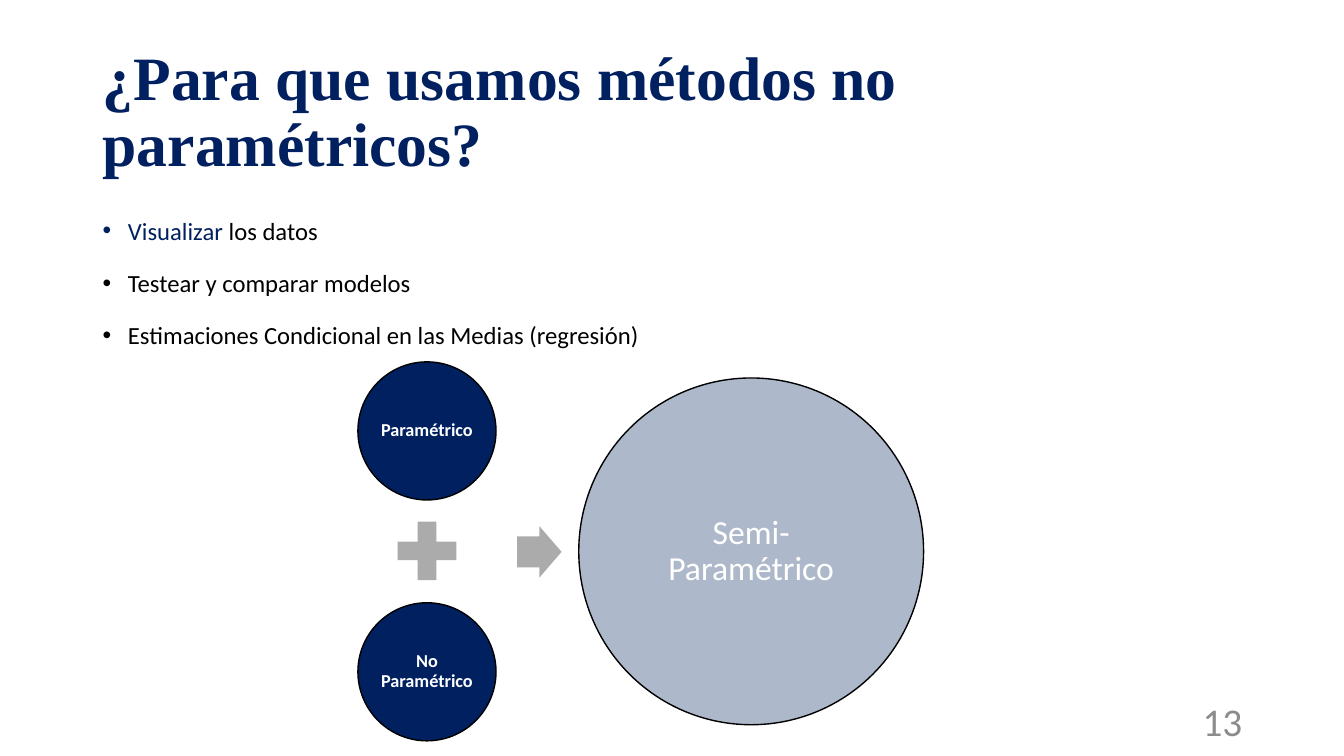
"""Build the slide on the uses of non-parametric methods."""
from lxml import etree
from pptx import Presentation, util as u
from pptx.dml.color import RGBColor
from pptx.enum import shapes, text
from pptx.oxml.ns import qn

NAVY, GREY, BLACK, WHITE = "002060", "ABABAB", "000000", "FFFFFF"
KIND, ALIGN, MID = shapes.MSO_SHAPE, text.PP_ALIGN, text.MSO_ANCHOR.MIDDLE


def color(hue):
    return RGBColor.from_string(hue)


def write(para, words, size, hue, bold=False, face="Calibri"):
    run = para.add_run()
    run.text = words
    font = run.font
    font.name, font.size, font.bold = face, u.Pt(size), bold
    font.color.rgb = color(hue)


deck = Presentation()
deck.slide_width, deck.slide_height = u.Inches(13.33), u.Inches(7.5)
slide = deck.slides.add_slide(deck.slide_layouts[6])

frames = []
for box in [(0.92, 0.4, 11.5, 1.45), (0.92, 2, 11.5, 1.59), (9.42, 6.95, 3, 0.4)]:
    frame = slide.shapes.add_textbox(*map(u.Inches, box)).text_frame
    frame.word_wrap = True
    frames.append(frame)
title, body, number = frames

title.vertical_anchor = number.vertical_anchor = MID
head = title.paragraphs[0]
head.line_spacing = 0.9
write(head, "¿Para que usamos métodos no paramétricos?", 44, NAVY, True, "Times New Roman")
page = number.paragraphs[0]
page.alignment = ALIGN.RIGHT
write(page, "13", 28, "8C8C8C")

points = [
    [("Visualizar", NAVY), (" los datos", BLACK)],
    [("Testear y comparar modelos", BLACK)],
    [("Estimaciones Condicional en las Medias (regresión)", BLACK)],
]
for i, runs in enumerate(points):
    para = body.add_paragraph() if i else body.paragraphs[0]
    para.line_spacing = 1.3
    para.space_before = u.Pt(10 if i else 0)
    props = para._p.get_or_add_pPr()
    props.set("marL", str(u.Inches(0.25)))
    props.set("indent", str(u.Inches(-0.25)))
    etree.SubElement(props, qn("a:buFont")).set("typeface", "Arial")
    etree.SubElement(props, qn("a:buChar")).set("char", "•")
    for words, hue in runs:
        write(para, words, 17.6, hue)

circles = [
    ("Paramétrico", (3.55, 3.59, 1.37, 1.37), NAVY, 13, True, 0.02),
    ("No Paramétrico", (3.55, 5.98, 1.37, 1.37), NAVY, 13, True, 0.02),
    ("Semi-Paramétrico", (5.74, 3.75, 3.42, 3.44), "ADB9CA", 24, False, 0.03),
]
for words, box, fill, size, bold, inset in circles:
    disc = slide.shapes.add_shape(KIND.OVAL, *map(u.Inches, box))
    disc.shadow.inherit = False
    disc.fill.solid()
    disc.fill.fore_color.rgb = color(fill)
    disc.line.color.rgb = color(BLACK)
    disc.line.width = u.Pt(1)
    frame = disc.text_frame
    frame.word_wrap = True
    frame.vertical_anchor = MID
    frame.margin_left = frame.margin_right = u.Inches(inset)
    frame.margin_top = frame.margin_bottom = u.Inches(inset)
    para = frame.paragraphs[0]
    para.alignment = ALIGN.CENTER
    para.line_spacing = 0.9
    write(para, words, size, WHITE, bold)

signs = [
    (KIND.MATH_PLUS, (3.84, 5.07, 0.79, 0.79)),
    (KIND.RIGHT_ARROW, (5.13, 5.22, 0.44, 0.51)),
]
for kind, box in signs:
    sign = slide.shapes.add_shape(kind, *map(u.Inches, box))
    sign.shadow.inherit = False
    sign.fill.solid()
    sign.fill.fore_color.rgb = color(GREY)
    sign.line.fill.background()
    if kind == KIND.RIGHT_ARROW:
        sign.adjustments[0] = 0.6

deck.save("out.pptx")
